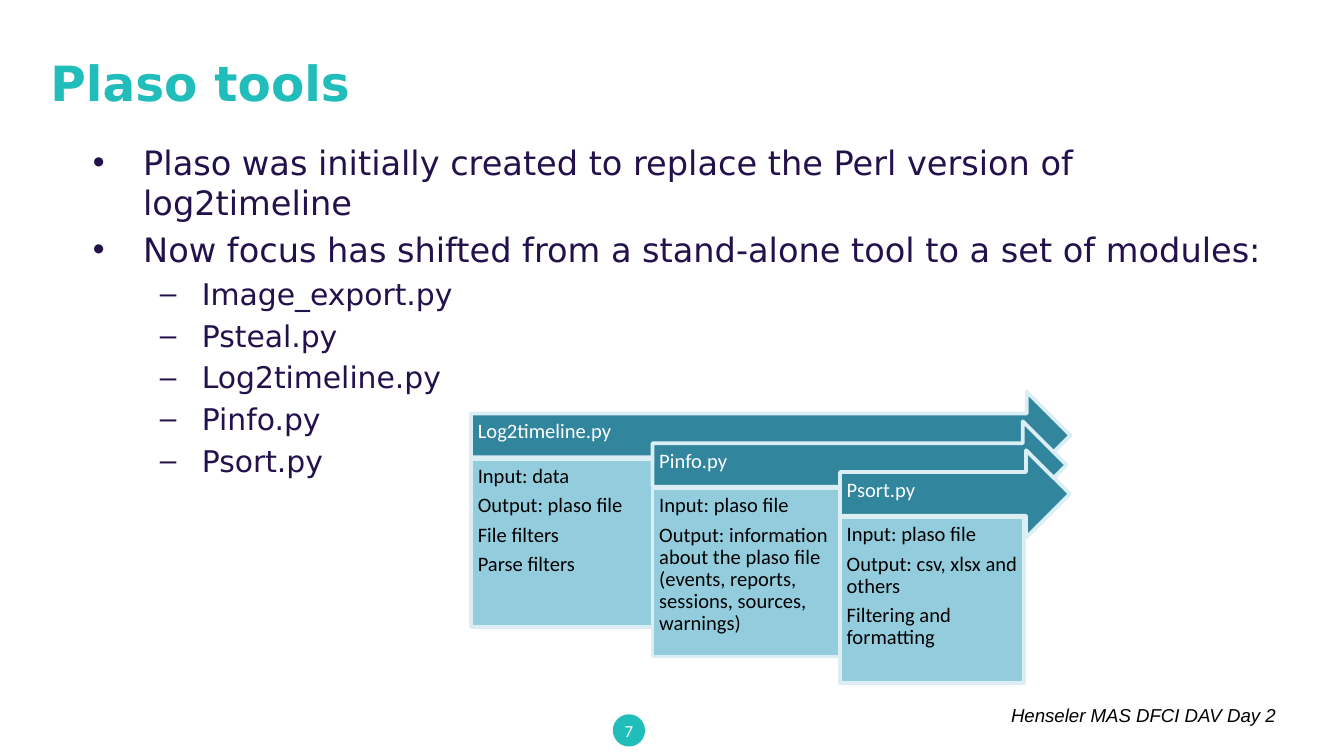
from pptx import Presentation
from pptx.dml.color import RGBColor
from pptx.enum.shapes import MSO_SHAPE
from pptx.enum.text import MSO_ANCHOR, MSO_AUTO_SIZE, PP_ALIGN
from pptx.util import Pt

PX = 4572  # 200 px to the inch

TURQUOISE = RGBColor(0x20, 0xBD, 0xBA)
INDIGO = RGBColor(0x23, 0x11, 0x4C)
TEAL = RGBColor(0x31, 0x85, 0x9C)
SKY = RGBColor(0x93, 0xCD, 0xDD)
PALE = RGBColor(0xDB, 0xEE, 0xF4)
WHITE = RGBColor(0xFF, 0xFF, 0xFF)
BLACK = RGBColor(0x00, 0x00, 0x00)

HEADING_FONT = "DejaVu Sans"
DIAGRAM_FONT = "Calibri"

BULLETS = [
    (0, "Plaso was initially created to replace the Perl version of log2timeline"),
    (0, "Now focus has shifted from a stand-alone tool to a set of modules:"),
    (1, "Image_export.py"),
    (1, "Psteal.py"),
    (1, "Log2timeline.py"),
    (1, "Pinfo.py"),
    (1, "Psort.py"),
]
LEVEL_SIZES = [18, 16]

# Arrow left, top and width, panel width and height, tool, details
STAGES = [
    (701, 583, 892, 274, 250, "Log2timeline.py",
     ["Input: data", "Output: plaso file", "File filters", "Parse filters"]),
    (971, 627, 616, 280, 250, "Pinfo.py",
     ["Input: plaso file",
      "Output: information about the plaso file "
      "(events, reports, sessions, sources, warnings)"]),
    (1250, 670, 342, 274, 247, "Psort.py",
     ["Input: plaso file", "Output: csv, xlsx and others",
      "Filtering and formatting"]),
]
ARROW_HEIGHT = 130
PANEL_OFFSET = 100


def px(*lengths):
    return [length * PX for length in lengths]


def move(shape, box):
    shape.left, shape.top, shape.width, shape.height = px(*box)


def set_frame(frame, anchor, insets=(20, 10, 20, 10)):
    frame.word_wrap = True
    frame.auto_size = MSO_AUTO_SIZE.NONE
    frame.vertical_anchor = anchor
    (frame.margin_left, frame.margin_top,
     frame.margin_right, frame.margin_bottom) = px(*insets)


def add_run(paragraph, text, font, size, color, bold=False, italic=False):
    run = paragraph.add_run()
    run.text = text
    run.font.name = font
    run.font.size = Pt(size)
    run.font.color.rgb = color
    run.font.bold = bold
    run.font.italic = italic


def paragraphs_for(frame, count):
    for _ in range(count - 1):
        frame.add_paragraph()
    return frame.paragraphs


def add_filled_shape(slide, kind, box, fill, line=None):
    shape = slide.shapes.add_shape(kind, *px(*box))
    shape.shadow.inherit = False
    shape.fill.solid()
    shape.fill.fore_color.rgb = fill
    if line is None:
        shape.line.fill.background()
    else:
        shape.line.color.rgb = line
        shape.line.width = Pt(2)
    return shape


def add_diagram_text(shape, lines, color, anchor, insets):
    frame = shape.text_frame
    set_frame(frame, anchor, insets)
    for paragraph, line in zip(paragraphs_for(frame, len(lines)), lines):
        paragraph.alignment = PP_ALIGN.LEFT
        paragraph.line_spacing = 0.9
        paragraph.space_after = Pt(3.85)
        add_run(paragraph, line, DIAGRAM_FONT, 11, color)


def fill_title(slide, box):
    title = slide.shapes.title
    move(title, box)
    set_frame(title.text_frame, MSO_ANCHOR.MIDDLE)
    paragraph = title.text_frame.paragraphs[0]
    paragraph.alignment = PP_ALIGN.LEFT
    add_run(paragraph, "Plaso tools", HEADING_FONT, 26, TURQUOISE, bold=True)


def fill_body(slide, box):
    body = slide.placeholders[1]
    move(body, box)
    frame = body.text_frame
    set_frame(frame, MSO_ANCHOR.TOP)
    paragraphs = paragraphs_for(frame, len(BULLETS))
    for index, (paragraph, (level, text)) in enumerate(zip(paragraphs, BULLETS)):
        size = LEVEL_SIZES[level]
        paragraph.level = level
        paragraph.space_before = Pt(round(size * 0.2, 1) if index else 0)
        add_run(paragraph, text, HEADING_FONT, size, INDIGO)


def add_stage(slide, left, top, width, panel_width, panel_height, tool, details):
    """Place an arrow naming the tool and the panel that hangs below it."""
    arrow = add_filled_shape(slide, MSO_SHAPE.RIGHT_ARROW,
                             (left, top, width, ARROW_HEIGHT), TEAL, PALE)
    add_diagram_text(arrow, [tool], WHITE, MSO_ANCHOR.MIDDLE, (10, 10, 56, 20))
    panel = add_filled_shape(
        slide, MSO_SHAPE.RECTANGLE,
        (left, top + PANEL_OFFSET, panel_width, panel_height), SKY, PALE)
    add_diagram_text(panel, details, BLACK, MSO_ANCHOR.TOP, (10, 10, 10, 10))


def add_page_number(slide, box):
    badge = add_filled_shape(slide, MSO_SHAPE.OVAL, box, TURQUOISE)
    set_frame(badge.text_frame, MSO_ANCHOR.MIDDLE, (0, 0, 0, 0))
    paragraph = badge.text_frame.paragraphs[0]
    paragraph.alignment = PP_ALIGN.CENTER
    add_run(paragraph, "7", DIAGRAM_FONT, 9, WHITE)


def add_footer(slide, box):
    footer = slide.shapes.add_textbox(*px(*box))
    set_frame(footer.text_frame, MSO_ANCHOR.TOP)
    paragraph = footer.text_frame.paragraphs[0]
    paragraph.alignment = PP_ALIGN.RIGHT
    add_run(paragraph, "Henseler MAS DFCI DAV Day 2", "Arial", 10, BLACK,
            italic=True)


def main():
    presentation = Presentation()
    presentation.slide_width, presentation.slide_height = px(2000, 1125)
    slide = presentation.slides.add_slide(presentation.slide_layouts[1])
    add_page_number(slide, (912, 1063, 48, 48))
    add_footer(slide, (1012, 1038, 906, 54))
    fill_body(slide, (118, 201, 1800, 708))
    fill_title(slide, (55, 44, 1800, 156))
    for stage in STAGES:
        add_stage(slide, *stage)
    presentation.save("out.pptx")


if __name__ == "__main__":
    main()
